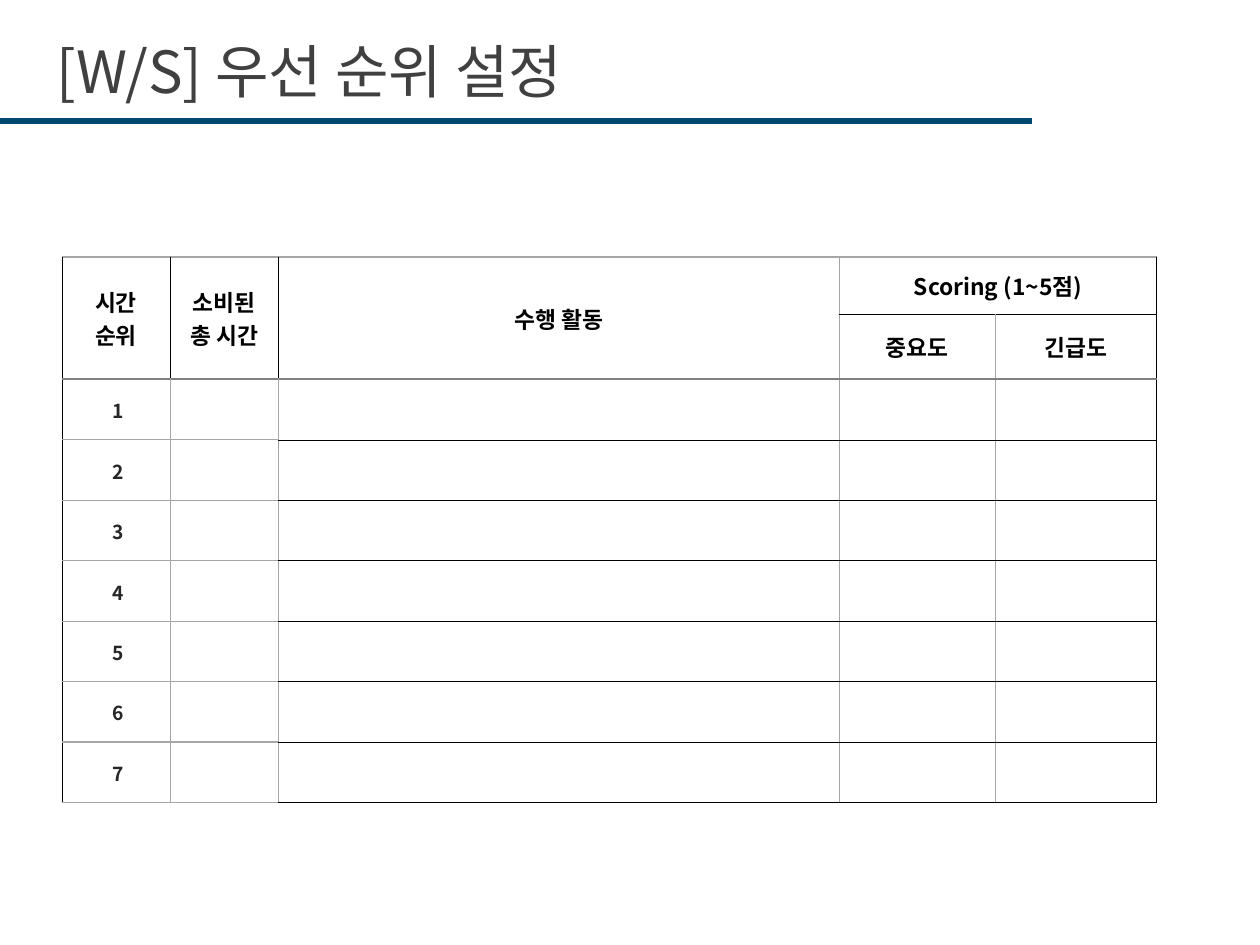
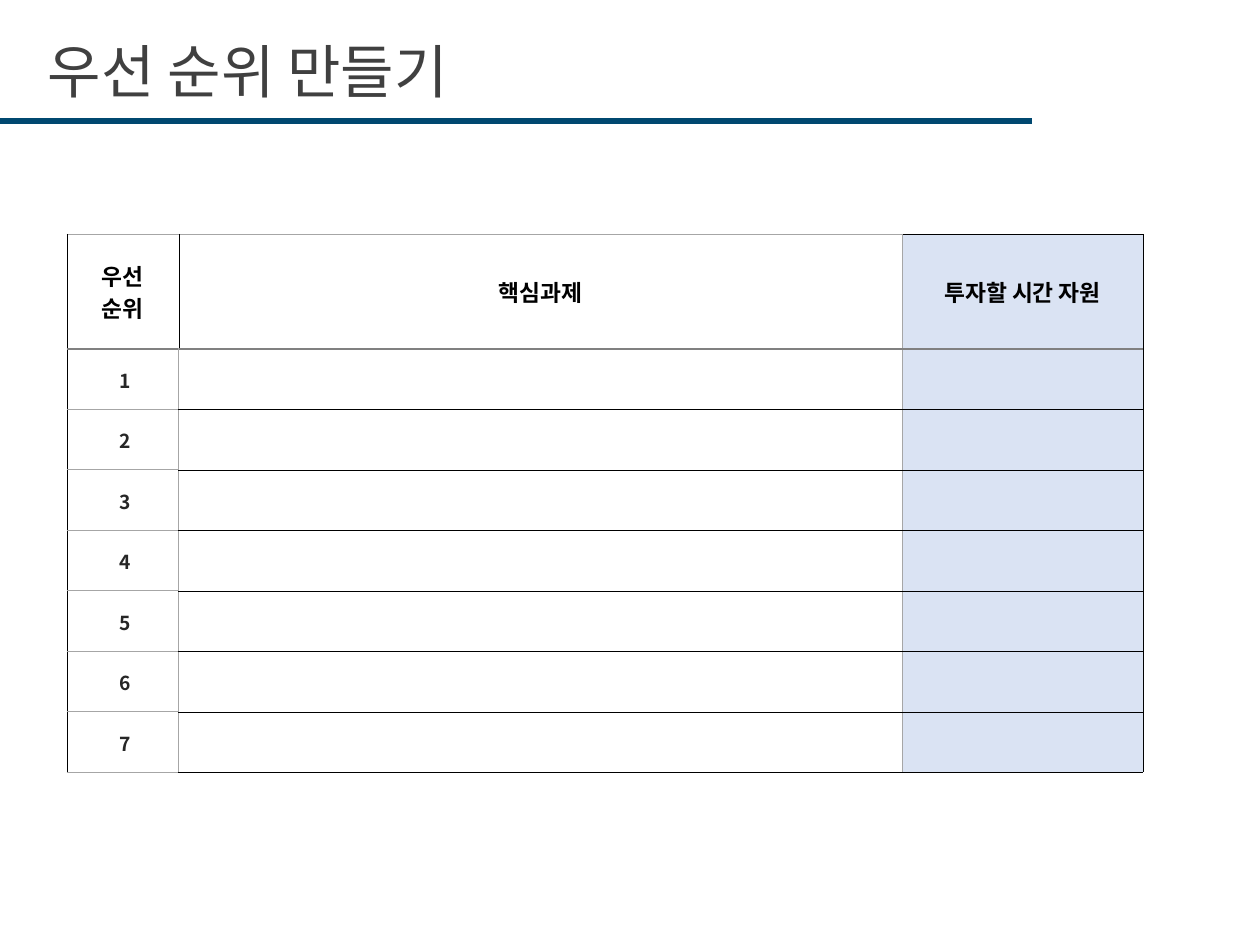
from lxml import etree
from pptx import Presentation
from pptx.dml.color import RGBColor
from pptx.enum.shapes import MSO_CONNECTOR as CONNECTOR
from pptx.enum.text import MSO_ANCHOR as ANCHOR, PP_ALIGN as ALIGN
from pptx.oxml.ns import qn
from pptx.util import Inches, Pt

COLORS = {
    "rule": "004870",
    "title": "404040",
    "heading": "000000",
    "number": "262626",
    "highlight": "DAE3F3",
}
FONT = "Noto Sans CJK KR"
NO_STYLE = "{2D5ABB26-0587-4C30-8999-92F81FD0307C}"

# Border kinds: colour and width in points
BLACK = ("000000", 0.25)
GREY = ("A6A6A6", 0.75)
HEADER_LINE = ("808080", 1.5)

ROW_HEIGHT = 0.48
TASK_COUNT = 7

# headings: (row, column, last row, last column, text)
# label_columns: leading columns with grey row lines and black header dividers
worksheets = [
    {
        "title": "[W/S] 우선 순위 설정",
        "title_left": 0.35,
        "table_at": (0.49, 2.04),
        "columns": [0.86, 0.86, 4.45, 1.24, 1.28],
        "header_rows": [0.45, 0.52],
        "label_columns": 2,
        "highlight_column": None,
        "headings": [
            (0, 0, 1, 0, "시간\n순위"),
            (0, 1, 1, 1, "소비된\n총 시간"),
            (0, 2, 1, 2, "수행 활동"),
            (0, 3, 0, 4, "Scoring (1~5점)"),
            (1, 3, 1, 3, "중요도"),
            (1, 4, 1, 4, "긴급도"),
        ],
    },
    {
        "title": "우선 순위 만들기",
        "title_left": 0.28,
        "table_at": (0.53, 1.86),
        "columns": [0.89, 5.74, 1.91],
        "header_rows": [0.91],
        "label_columns": 1,
        "highlight_column": 2,
        "headings": [
            (0, 0, 0, 0, "우선\n순위"),
            (0, 1, 0, 1, "핵심과제"),
            (0, 2, 0, 2, "투자할 시간 자원"),
        ],
    },
]


def format_text(text_frame, size, color, bold=False, spacing=None):
    for paragraph in text_frame.paragraphs:
        for run in paragraph.runs:
            run.font.size = Pt(size)
            run.font.bold = bold
            run.font.name = FONT
            run.font.color.rgb = RGBColor.from_string(COLORS[color])
            properties = run.font._element
            etree.SubElement(properties, qn("a:ea")).set("typeface", FONT)
            if spacing is not None:
                properties.set("spc", str(round(spacing * 100)))


def set_borders(cell, left, right, top, bottom):
    properties = cell._tc.get_or_add_tcPr()
    for side, (color, width) in zip("LRTB", (left, right, top, bottom)):
        line = etree.SubElement(properties, qn(f"a:ln{side}"), w=str(Pt(width)))
        fill = etree.SubElement(line, qn("a:solidFill"))
        etree.SubElement(fill, qn("a:srgbClr"), val=color)


presentation = Presentation()
presentation.slide_width = Inches(10)
presentation.slide_height = Inches(7.5)

for sheet in worksheets:
    slide = presentation.slides.add_slide(presentation.slide_layouts[6])

    rule = slide.shapes.add_connector(
        CONNECTOR.STRAIGHT, 0, Inches(0.96), Inches(8.19), Inches(0.96))
    rule.line.color.rgb = RGBColor.from_string(COLORS["rule"])
    rule.line.width = Pt(3)
    etree.SubElement(rule._element.spPr, qn("a:effectLst"))

    title = slide.shapes.add_textbox(
        Inches(sheet["title_left"]), Inches(0.29), Inches(8.69), Inches(0.67))
    title.text_frame.word_wrap = True
    title.text_frame.vertical_anchor = ANCHOR.MIDDLE
    title.text_frame.text = sheet["title"]
    title.text_frame.paragraphs[0].line_spacing = 0.72
    format_text(title.text_frame, 33.2, "title")

    columns = sheet["columns"]
    header_count = len(sheet["header_rows"])
    row_heights = sheet["header_rows"] + [ROW_HEIGHT] * TASK_COUNT
    left, top = sheet["table_at"]
    frame = slide.shapes.add_table(
        len(row_heights), len(columns), Inches(left), Inches(top),
        Inches(sum(columns)), Inches(sum(row_heights)))
    table = frame.table
    table.first_row = table.horz_banding = False
    table._tbl.tblPr.find(qn("a:tableStyleId")).text = NO_STYLE
    for column, width in zip(table.columns, columns):
        column.width = Inches(width)
    for row, height in zip(table.rows, row_heights):
        row.height = Inches(height)

    # Header texts and merged cells
    for row, column, last_row, last_column, text in sheet["headings"]:
        cell = table.cell(row, column)
        if (row, column) != (last_row, last_column):
            cell.merge(table.cell(last_row, last_column))
        cell.text_frame.text = text
        cell.margin_left = cell.margin_right = 0
        cell.margin_top = cell.margin_bottom = 0
        format_text(cell.text_frame, 13, "heading", bold=True)

    # Rank numbers
    for number in range(1, TASK_COUNT + 1):
        cell = table.cell(header_count + number - 1, 0)
        cell.text_frame.text = str(number)
        cell.margin_left = Inches(0.04)
        cell.margin_top = cell.margin_right = Inches(0.01)
        cell.margin_bottom = 0
        format_text(cell.text_frame, 11, "number", bold=True, spacing=-0.7)

    # Borders, fills and alignment
    for row in range(len(row_heights)):
        for column in range(len(columns)):
            cell = table.cell(row, column)
            if cell.is_spanned:
                continue
            highlighted = column == sheet["highlight_column"]
            row_line = GREY if column < sheet["label_columns"] else BLACK
            verticals = []
            for edge in (column, column + cell.span_width):
                outer = edge in (0, len(columns))
                divider = row < header_count and edge <= sheet["label_columns"]
                verticals.append(BLACK if outer or divider else GREY)
            horizontals = []
            for edge in (row, row + cell.span_height):
                if edge == 0:
                    horizontals.append(BLACK if highlighted else GREY)
                else:
                    horizontals.append(HEADER_LINE if edge == header_count else row_line)
            set_borders(cell, *verticals, *horizontals)

            if highlighted:
                cell.fill.solid()
                cell.fill.fore_color.rgb = RGBColor.from_string(COLORS["highlight"])
            else:
                cell.fill.background()
            cell.vertical_anchor = ANCHOR.MIDDLE
            for paragraph in cell.text_frame.paragraphs:
                paragraph.alignment = ALIGN.CENTER

presentation.save("out.pptx")
